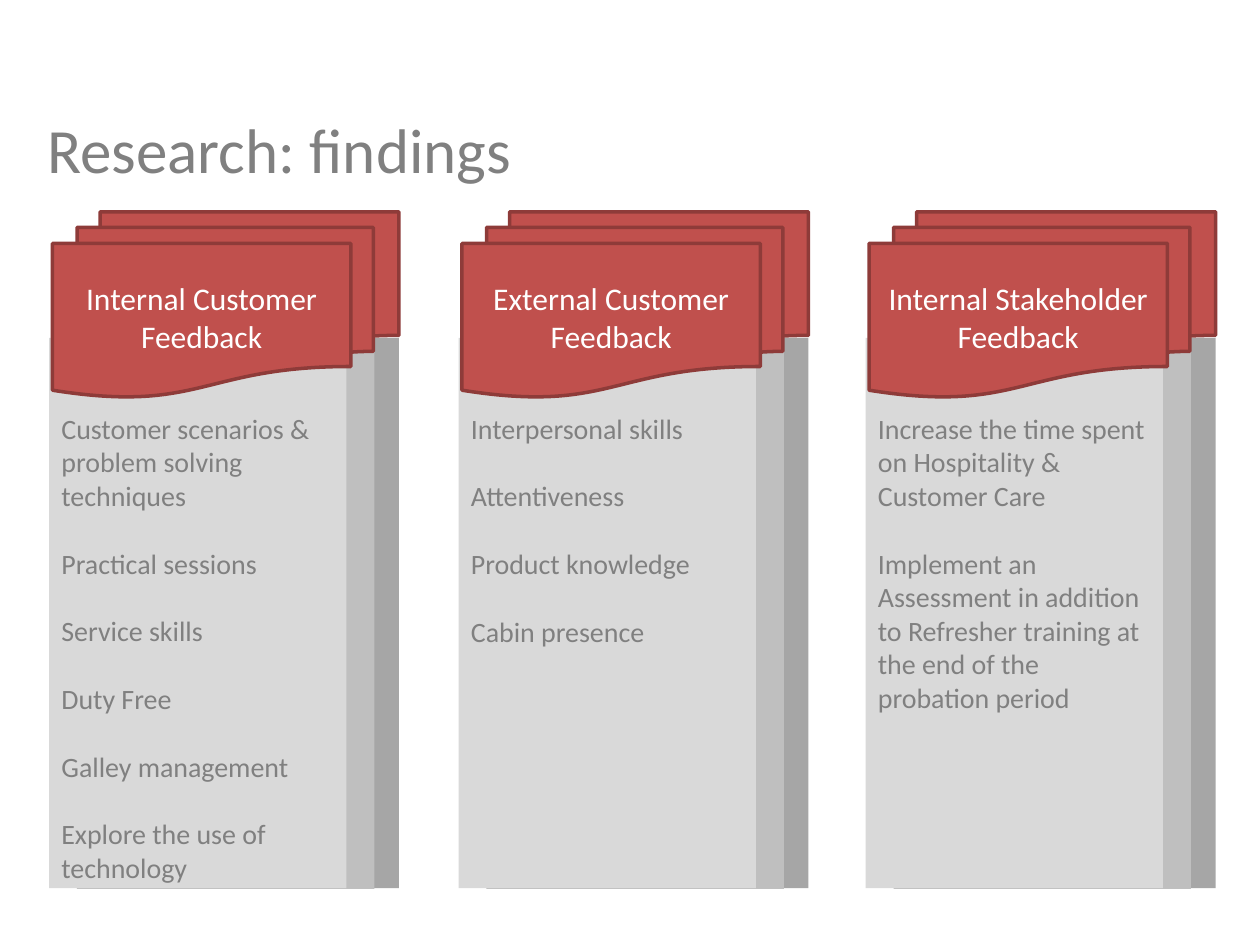
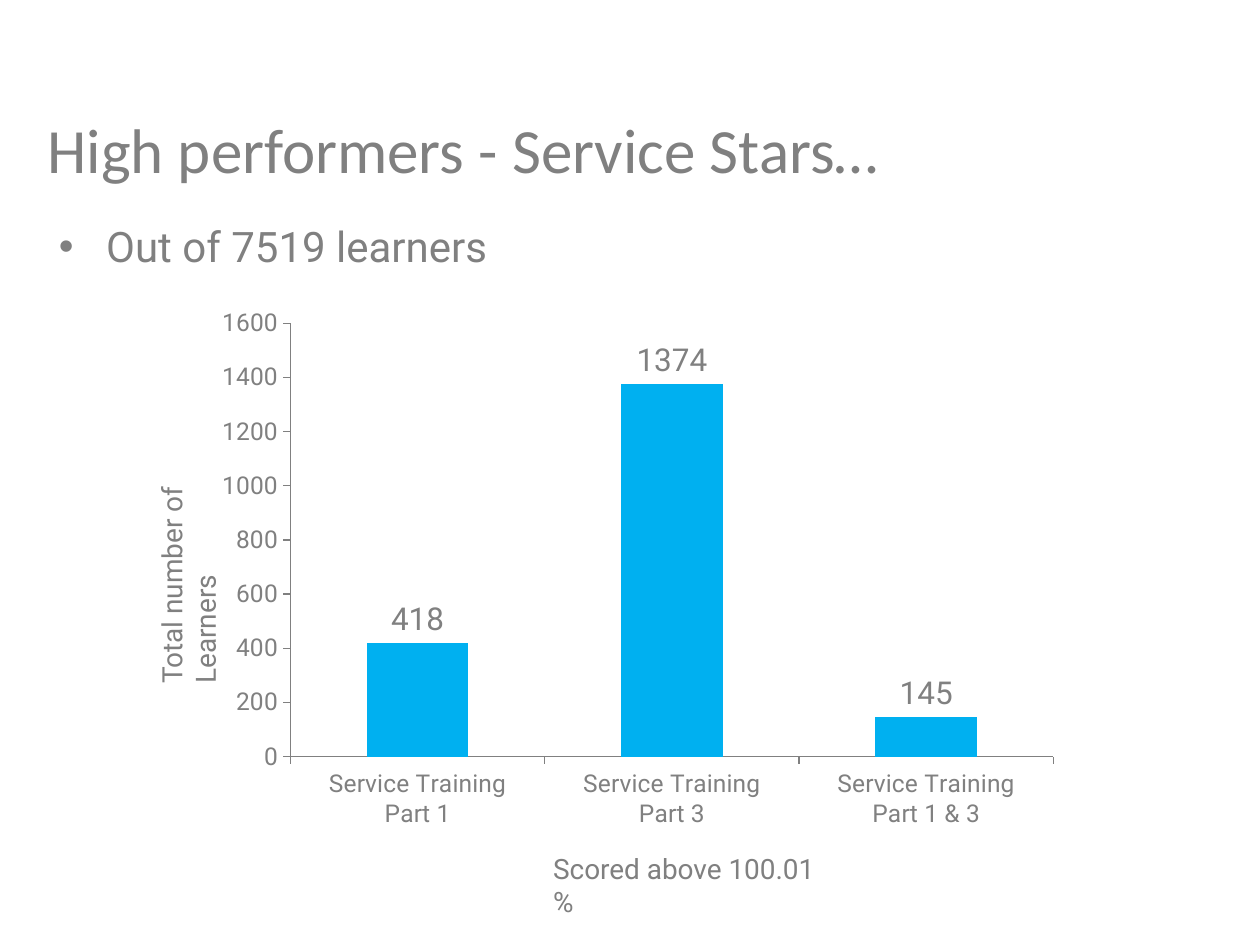
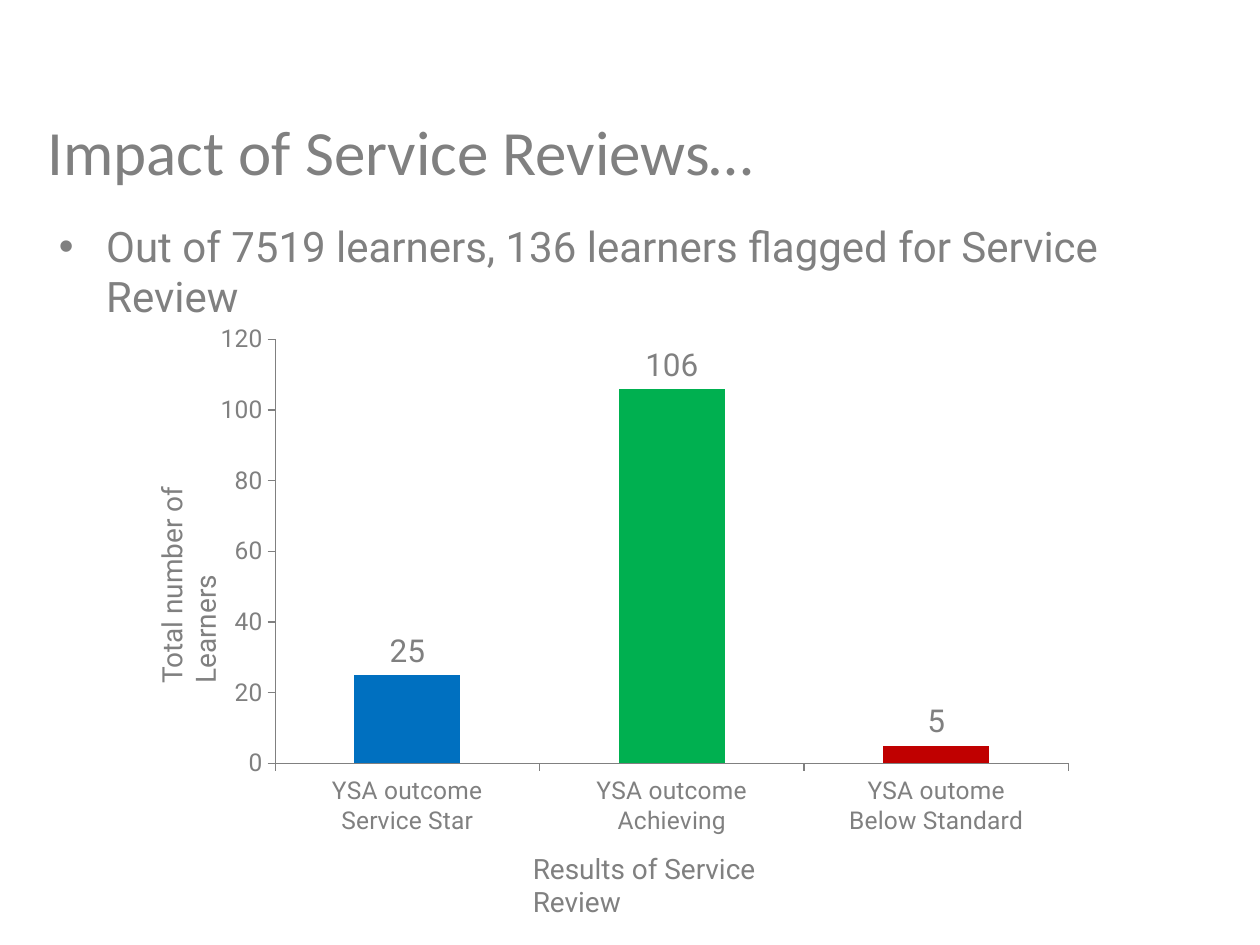
from lxml import etree
from pptx import Presentation
from pptx.chart.data import CategoryChartData
from pptx.dml.color import RGBColor
from pptx.enum.chart import XL_CHART_TYPE, XL_LABEL_POSITION, XL_TICK_MARK
from pptx.enum.shapes import MSO_SHAPE
from pptx.enum.text import MSO_ANCHOR, MSO_AUTO_SIZE, PP_ALIGN
from pptx.oxml import parse_xml
from pptx.oxml.ns import nsdecls, qn
from pptx.util import Pt

RECT = MSO_SHAPE.RECTANGLE
STACK = MSO_SHAPE.FLOWCHART_MULTIDOCUMENT
COLUMN = XL_CHART_TYPE.COLUMN_CLUSTERED
ABOVE = XL_LABEL_POSITION.OUTSIDE_END
OUT, NONE = XL_TICK_MARK.OUTSIDE, XL_TICK_MARK.NONE
TOP, MIDDLE = MSO_ANCHOR.TOP, MSO_ANCHOR.MIDDLE
LEFT, CENTER = PP_ALIGN.LEFT, PP_ALIGN.CENTER
GROW = MSO_AUTO_SIZE.SHAPE_TO_FIT_TEXT

GREY, WHITE, RED, EDGE = "808080", "FFFFFF", "C0504D", "8E3B39"
HEAD, BODY = "Calibri", "Roboto"
color = RGBColor.from_string


def write(shape, text, size, font, ink=GREY, anchor=TOP, align=LEFT, gap=0):
    frame = shape.text_frame
    frame.word_wrap = True
    frame.vertical_anchor = anchor
    frame.text = text
    for i, para in enumerate(frame.paragraphs):
        para.alignment = align
        para.space_before = Pt(gap if i else 0)
        for run in para.runs:
            run.font.size = Pt(size)
            run.font.name = font
            run.font.color.rgb = color(ink)
    return frame


def block(slide, kind, box, fill, edge=None):
    shape = slide.shapes.add_shape(kind, *map(Pt, box))
    shape.shadow.inherit = False
    shape.fill.solid()
    shape.fill.fore_color.rgb = color(fill)
    if edge:
        shape.line.color.rgb = color(edge)
        shape.line.width = Pt(2)
    else:
        shape.line.fill.background()
    return shape


deck = Presentation()
deck.slide_width, deck.slide_height = Pt(720), Pt(540)

titles = [
    ("Research: findings", 67),
    ("High performers - Service Stars…", 67),
    ("Impact of Service Reviews…", 68),
]
slides = []
for title, top in titles:
    slide = deck.slides.add_slide(deck.slide_layouts[6])
    box = slide.shapes.add_textbox(Pt(20), Pt(top), Pt(664), Pt(36))
    write(box, title, 36, HEAD, anchor=MIDDLE)
    slides.append(slide)

panels = [
    (28, "Internal Customer Feedback", [
        "Customer scenarios & problem solving techniques",
        "Practical sessions",
        "Service skills",
        "Duty Free",
        "Galley management",
        "Explore the use of technology",
    ]),
    (262, "External Customer Feedback", [
        "Interpersonal skills",
        "Attentiveness",
        "Product knowledge",
        "Cabin presence",
    ]),
    (494.6, "Internal Stakeholder\nFeedback", [
        "Increase the time spent on Hospitality & Customer Care",
        "Implement an Assessment in addition to Refresher training "
        "at the end of the probation period",
    ]),
]
sheets = [(30, 193, 314.5, "A6A6A6"), (16, 199.5, 308.5, "BFBFBF"),
          (0, 193, 314.5, "D9D9D9")]
for left, head, items in panels:
    for shift, top, high, fill in sheets:
        sheet = block(slides[0], RECT, (left + shift, top, 170, high), fill)
    frame = write(sheet, "\n".join(items), 16, HEAD, gap=19.5)
    frame.margin_top = Pt(42)
    cover = block(slides[0], STACK, (left + 2, 121, 198, 106), RED, EDGE)
    write(cover, head, 18, HEAD, WHITE, MIDDLE, CENTER)

charts = [
    dict(note="Out of 7519 learners",
         box=(101, 168, 516, 335.5),
         cats=["Service Training\nPart 1", "Service Training\nPart 3",
               "Service Training\nPart 1 & 3"],
         vals=(418, 1374, 145), fills=["00B0F0"] * 3,
         top=1600, step=200, lap=0, plot=(0.126, 0.05, 0.845, 0.738),
         label="Scored above 100.01 %", spot=(309, 170.6)),
    dict(note="Out of 7519 learners, 136 learners flagged for Service Review",
         box=(116, 179.3, 504.7, 304.6),
         cats=["YSA outcome\nService Star", "YSA outcome\nAchieving",
               "YSA outome\nBelow Standard"],
         vals=(25, 106, 5), fills=["0070C0", "00B050", "C00000"],
         top=120, step=20, lap=-64, plot=None,
         label="Results of Service Review", spot=(297.4, 187.2)),
]
for slide, item in zip(slides[1:], charts):
    data = CategoryChartData()
    data.categories = item["cats"]
    data.add_series("Series 1", item["vals"])
    chart = slide.shapes.add_chart(COLUMN, *map(Pt, item["box"]), data).chart
    chart.has_legend = chart.has_title = False
    chart.font.size = Pt(18)
    chart.font.name = BODY
    chart.font.color.rgb = color(GREY)

    for axis in (chart.category_axis, chart.value_axis):
        axis.has_major_gridlines = False
        axis.major_tick_mark, axis.minor_tick_mark = OUT, NONE
        axis.format.line.color.rgb = color(GREY)
        font = axis.tick_labels.font
        font.size, font.name = Pt(14), BODY
        font.color.rgb = color(GREY)
    axis.minimum_scale, axis.maximum_scale = 0, item["top"]
    axis.major_unit = item["step"]

    plot = chart.plots[0]
    plot.gap_width, plot.overlap = 150, item["lap"]
    plot.vary_by_categories = False
    plot.has_data_labels = True
    tags = plot.data_labels
    tags.show_value, tags.position = True, ABOVE
    tags.font.size, tags.font.name = Pt(18), BODY
    tags.font.color.rgb = color(GREY)
    for i, fill in enumerate(item["fills"]):
        paint = plot.series[0].points[i].format.fill
        paint.solid()
        paint.fore_color.rgb = color(fill)

    if item["plot"]:
        area = chart._chartSpace.chart.plotArea
        for old in area.findall(qn("c:layout")):
            area.remove(old)
        rules = [("layoutTarget", "inner"), ("xMode", "edge"), ("yMode", "edge")]
        rules += zip("xywh", item["plot"])
        layout = parse_xml(f"<c:layout {nsdecls('c')}><c:manualLayout/></c:layout>")
        for tag, val in rules:
            etree.SubElement(layout[0], qn("c:" + tag)).set("val", str(val))
        area.insert(0, layout)

    box = slide.shapes.add_textbox(Pt(26.6), Pt(122.4), Pt(663), Pt(39.6))
    para = write(box, item["note"], 24, BODY).paragraphs[0]
    props = para._p.get_or_add_pPr()
    props.set("marL", str(Pt(27)))
    props.set("indent", str(Pt(-27)))
    etree.SubElement(props, qn("a:buFont")).set("typeface", "Arial")
    etree.SubElement(props, qn("a:buChar")).set("char", "•")

    left, wide = item["spot"]
    names = [("Total number of Learners", 5.8, 292.3, 184.3, 270),
             (item["label"], left, 483, wide, 0)]
    for text, left, top, wide, turn in names:
        box = slide.shapes.add_textbox(Pt(left), Pt(top), Pt(wide), Pt(26.6))
        box.rotation = turn
        write(box, text, 16, BODY).auto_size = GROW

deck.save("out.pptx")
